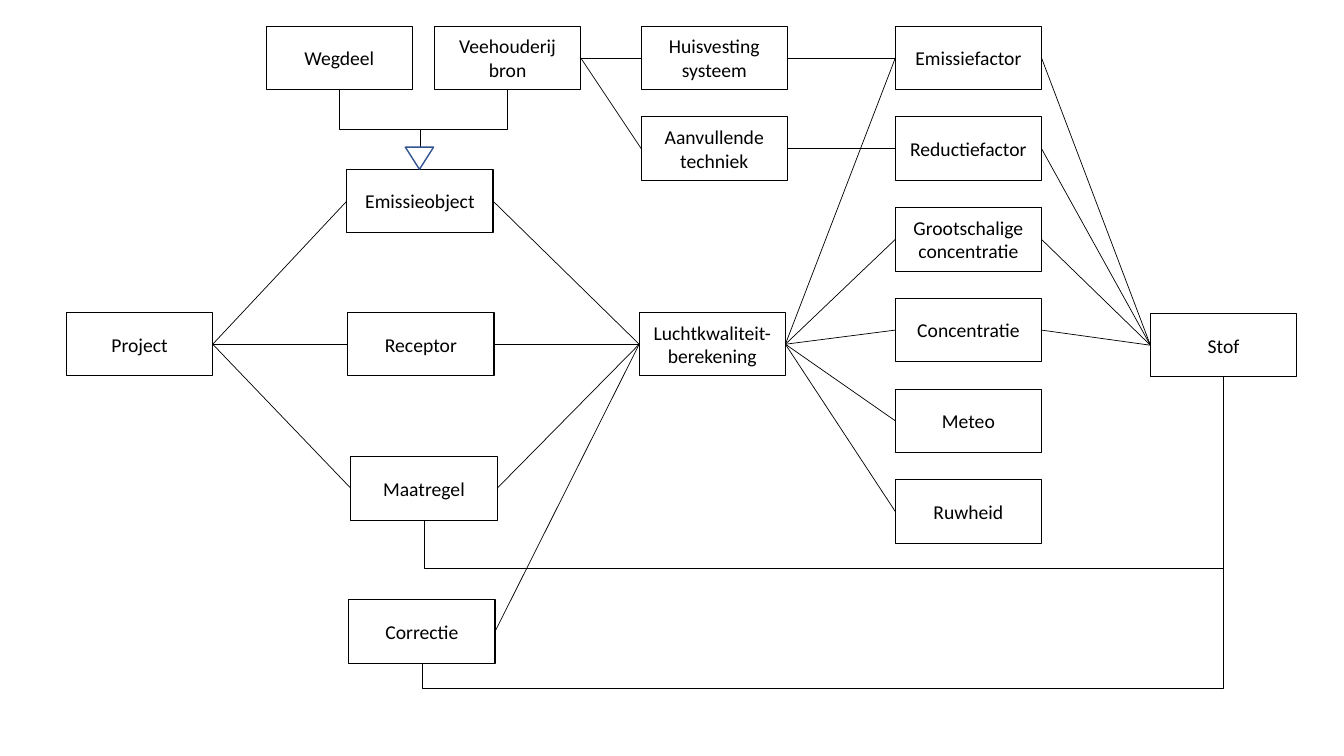
import dataclasses

import pptx
import pptx.dml.color
import pptx.enum.shapes
import pptx.enum.text
import pptx.oxml
import pptx.oxml.ns
import pptx.shapes.autoshape
import pptx.shapes.connector
import pptx.util
from pptx.util import Inches

BLACK = pptx.dml.color.RGBColor(0x00, 0x00, 0x00)
WHITE = pptx.dml.color.RGBColor(0xFF, 0xFF, 0xFF)
BLUE = pptx.dml.color.RGBColor(0x32, 0x54, 0x91)
SHAPES = pptx.enum.shapes.MSO_SHAPE
CONNECTORS = pptx.enum.shapes.MSO_CONNECTOR

BOX_WIDTH, BOX_HEIGHT = Inches(1.45), Inches(0.63)
TOP, LEFT, BOTTOM, RIGHT = range(4)
FIRST_ROW, ROW_STEP = 0.26, 0.9
TECHNIQUE_LEFT, FACTOR_LEFT = 6.36, 8.88


@dataclasses.dataclass(frozen=True)
class Entity:
    text: str
    left: float
    top: float


@dataclasses.dataclass(frozen=True)
class ElbowLink:
    start: str
    end: str
    end_site: int
    bend_y: float


def row(index: int) -> float:
    return FIRST_ROW + index * ROW_STEP


FACTORS = {
    "emissiefactor": "Emissiefactor",
    "reductiefactor": "Reductiefactor",
    "grootschalig": "Grootschalige\vconcentratie",
    "concentratie": "Concentratie",
    "meteo": "Meteo",
    "ruwheid": "Ruwheid",
}
ENTITIES = {
    "wegdeel": Entity("Wegdeel", 2.64, row(0)),
    "veehouderij": Entity("Veehouderij\vbron", 4.31, row(0)),
    "huisvesting": Entity("Huisvesting\vsysteem", TECHNIQUE_LEFT, row(0)),
    "techniek": Entity("Aanvullende techniek", TECHNIQUE_LEFT, row(1)),
    "project": Entity("Project", 0.66, 3.1),
    "emissieobject": Entity("Emissieobject", 3.44, 1.68),
    "receptor": Entity("Receptor", 3.45, 3.1),
    "maatregel": Entity("Maatregel", 3.48, 4.53),
    "correctie": Entity("Correctie", 3.46, 5.95),
    "berekening": Entity("Luchtkwaliteit-\nberekening", 6.34, 3.1),
    "stof": Entity("Stof", 11.41, 3.11),
} | {key: Entity(text, FACTOR_LEFT, row(i)) for i, (key, text) in enumerate(FACTORS.items())}

STRAIGHT_LINKS = {
    "project": ["emissieobject", "receptor", "maatregel"],
    "emissieobject": ["berekening"],
    "receptor": ["berekening"],
    "maatregel": ["berekening"],
    "correctie": ["berekening"],
    "berekening": ["emissiefactor", "grootschalig", "concentratie", "meteo", "ruwheid"],
    "veehouderij": ["huisvesting", "techniek"],
    "huisvesting": ["emissiefactor"],
    "techniek": ["reductiefactor"],
    "emissiefactor": ["stof"],
    "reductiefactor": ["stof"],
    "grootschalig": ["stof"],
    "concentratie": ["stof"],
}
ELBOW_LINKS = [
    ElbowLink("wegdeel", "emissieobject", TOP, 1.28),
    ElbowLink("veehouderij", "emissieobject", TOP, 1.28),
    ElbowLink("stof", "maatregel", BOTTOM, 5.64),
    ElbowLink("stof", "correctie", BOTTOM, 6.83),
]

presentation = pptx.Presentation()
presentation.slide_width, presentation.slide_height = Inches(13.33), Inches(7.5)
slide = presentation.slides.add_slide(presentation.slide_layouts[6])


def draw_entity(entity: Entity) -> pptx.shapes.autoshape.Shape:
    box = slide.shapes.add_shape(
        SHAPES.RECTANGLE, Inches(entity.left), Inches(entity.top), BOX_WIDTH, BOX_HEIGHT
    )
    box.shadow.inherit = False
    box.fill.solid()
    box.fill.fore_color.rgb = WHITE
    box.line.color.rgb = BLACK
    box.line.width = pptx.util.Pt(0.75)
    box.text_frame.text = entity.text
    box.text_frame.vertical_anchor = pptx.enum.text.MSO_ANCHOR.MIDDLE
    for paragraph in box.text_frame.paragraphs:
        paragraph.alignment = pptx.enum.text.PP_ALIGN.CENTER
        paragraph.font.name = "Calibri"
        paragraph.font.size = pptx.util.Pt(14)
        paragraph.font.color.rgb = BLACK
    return box


def connect(
    kind: CONNECTORS, start: str, start_site: int, end: str, end_site: int
) -> pptx.shapes.connector.Connector:
    link = slide.shapes.add_connector(kind, 0, 0, 0, 0)
    link.begin_connect(boxes[start], start_site)
    link.end_connect(boxes[end], end_site)
    link.line.color.rgb = BLACK
    link.line.width = pptx.util.Pt(0.5)
    link.element.spPr.append(pptx.oxml.parse_xml(
        f"<a:effectLst {pptx.oxml.ns.nsdecls('a')}/>"
    ))
    return link


def draw_elbow(elbow: ElbowLink) -> None:
    link = connect(CONNECTORS.ELBOW, elbow.start, BOTTOM, elbow.end, elbow.end_site)
    start_x, start_y = link.begin_x, link.begin_y
    end_x, end_y = link.end_x, link.end_y
    drop, shift = end_y - start_y, abs(end_x - start_x)
    link.left, link.top = (start_x + end_x - drop) // 2, (start_y + end_y - shift) // 2
    link.width, link.height = drop, shift

    frame = link.element.spPr.find(pptx.oxml.ns.qn("a:xfrm"))
    goes_right = end_x > start_x
    frame.set("rot", str((270 if goes_right else 90) * 60000))
    frame.set("flipH", "1" if goes_right else "0")
    frame.set("flipV", "0")

    bend = round((Inches(elbow.bend_y) - start_y) / drop * 100000)
    geometry = link.element.spPr.find(pptx.oxml.ns.qn("a:prstGeom"))
    adjustments = geometry.find(pptx.oxml.ns.qn("a:avLst"))
    adjustments.append(pptx.oxml.parse_xml(
        f"<a:gd {pptx.oxml.ns.nsdecls('a')} name='adj1' fmla='val {bend}'/>"
    ))


boxes = {key: draw_entity(entity) for key, entity in ENTITIES.items()}
for source, targets in STRAIGHT_LINKS.items():
    for target in targets:
        connect(CONNECTORS.STRAIGHT, source, RIGHT, target, LEFT)
for elbow_link in ELBOW_LINKS:
    draw_elbow(elbow_link)

inheritance = slide.shapes.add_shape(
    SHAPES.ISOSCELES_TRIANGLE, Inches(4.02), Inches(1.46), Inches(0.28), Inches(0.22)
)
inheritance.rotation = 180
inheritance.shadow.inherit = False
inheritance.fill.solid()
inheritance.fill.fore_color.rgb = WHITE
inheritance.line.color.rgb = BLUE
inheritance.line.width = pptx.util.Pt(1)

presentation.save("out.pptx")
